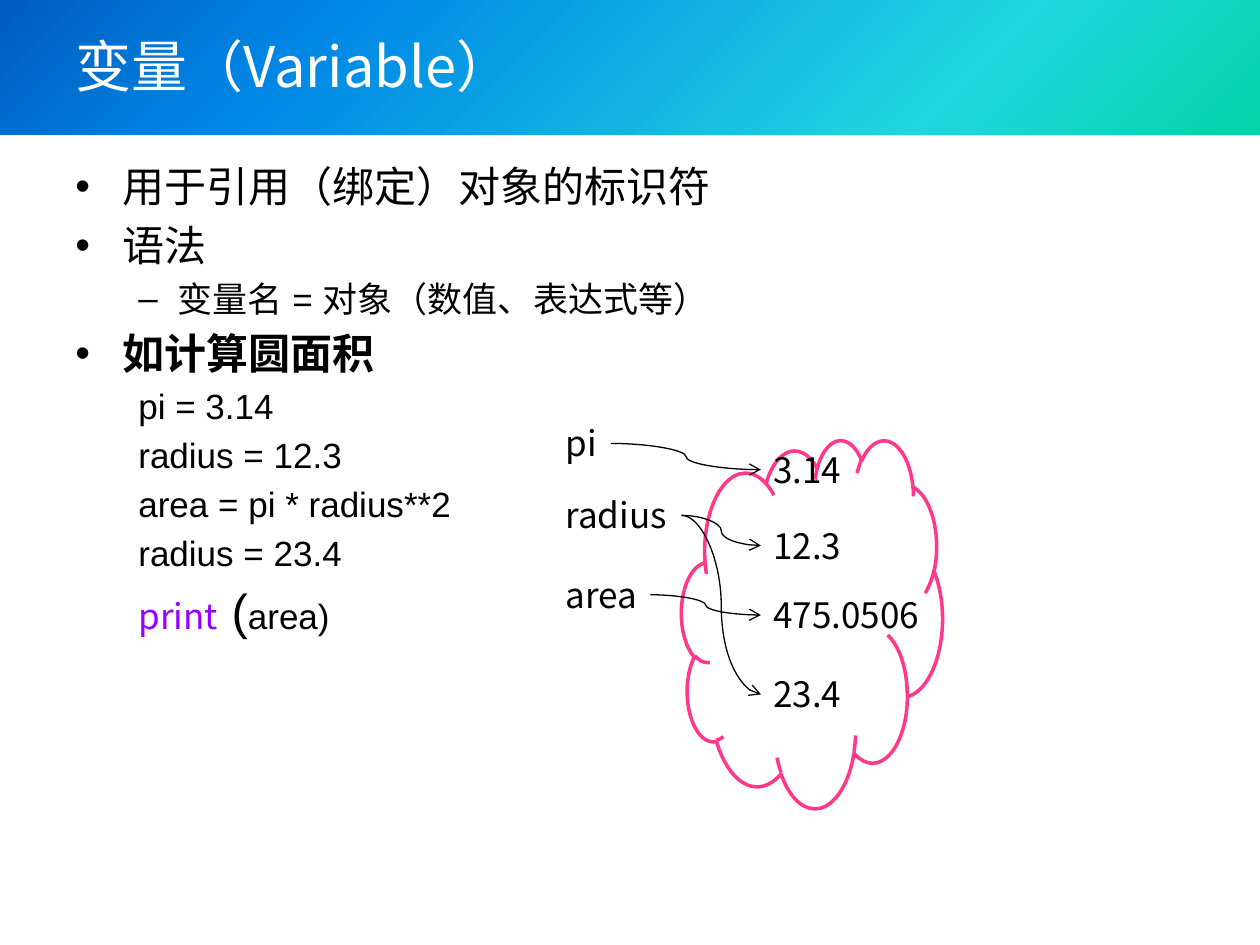
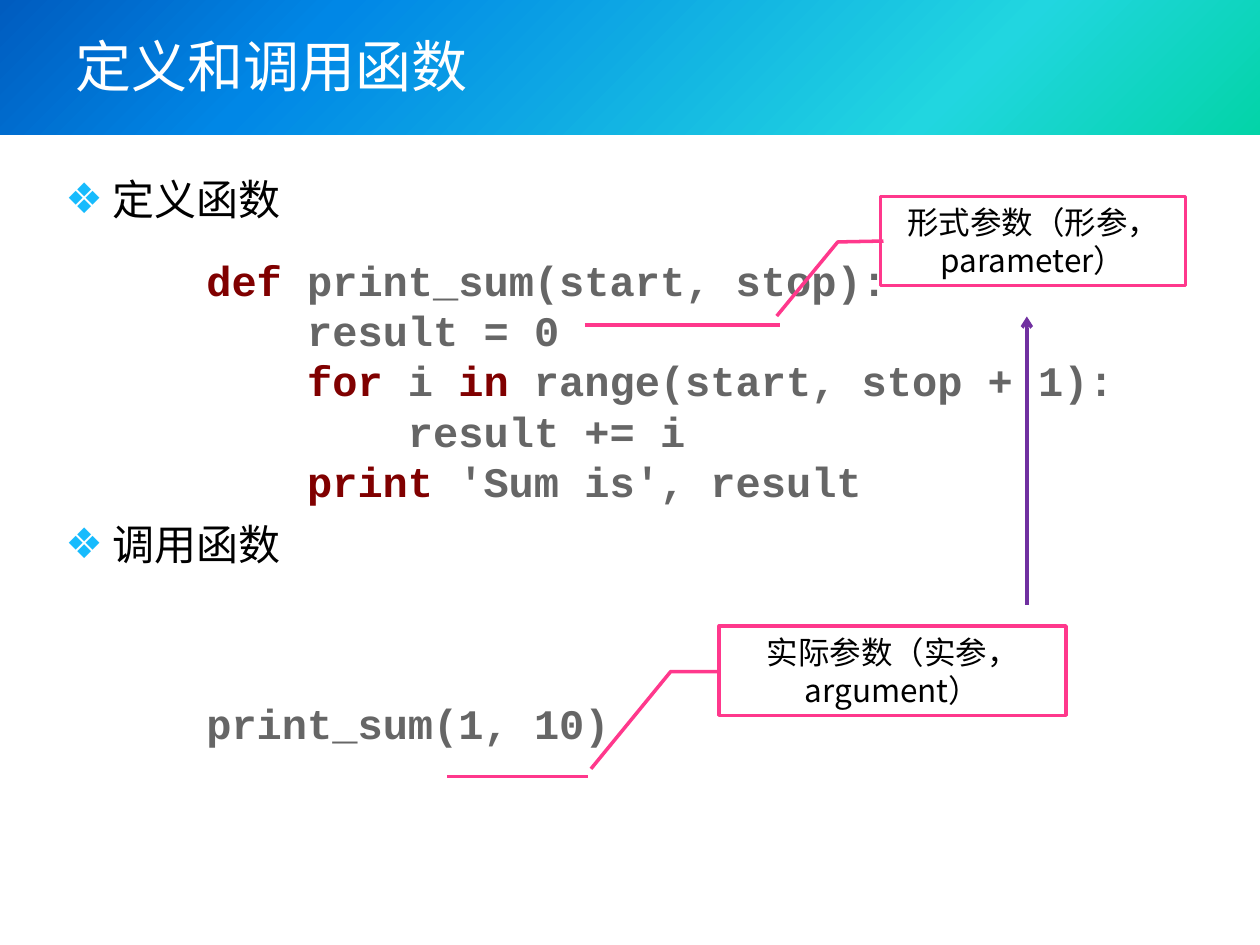
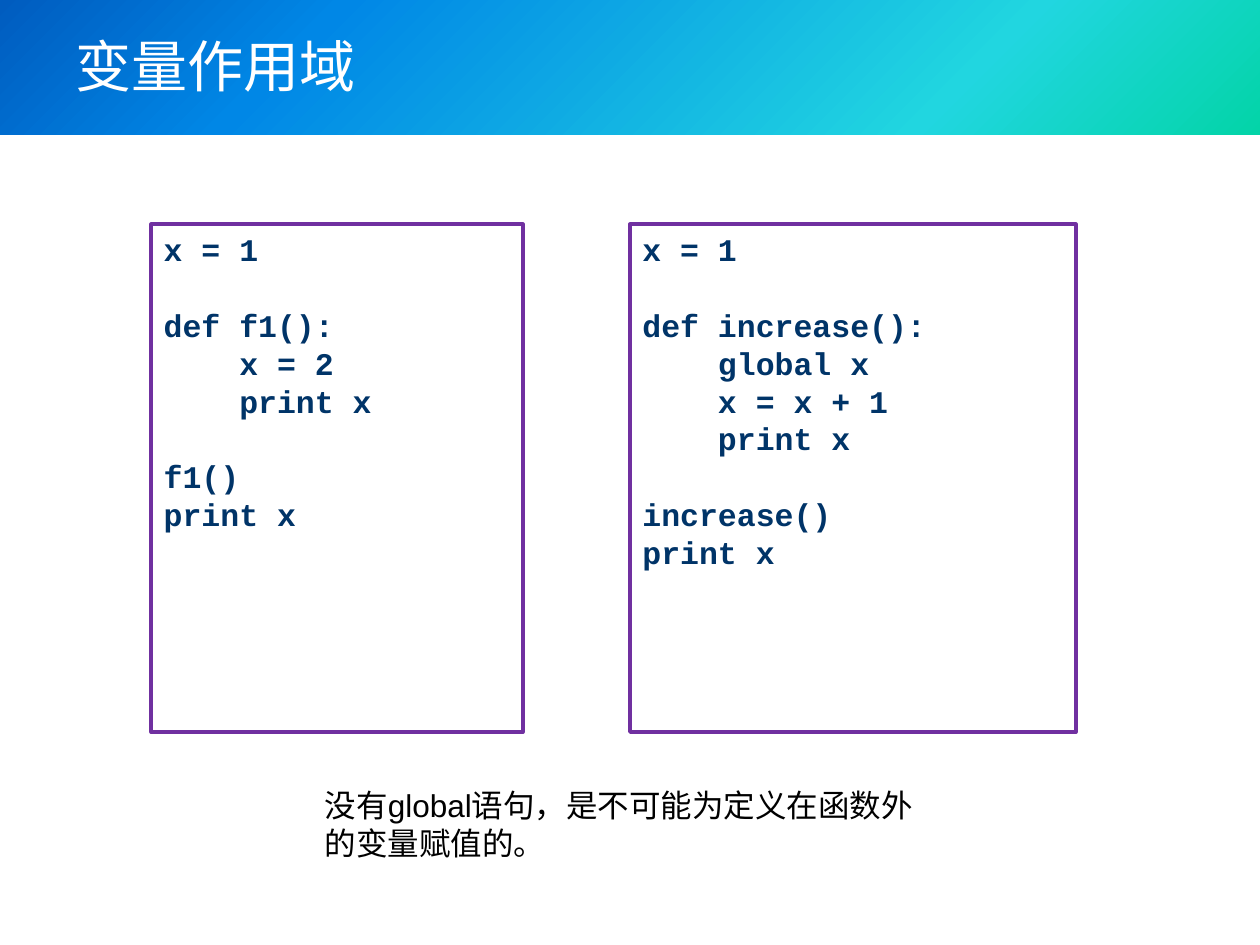
import collections

import pptx
import pptx.dml.color
import pptx.enum.shapes
import pptx.enum.text
import pptx.oxml
import pptx.oxml.ns
import pptx.util
from lxml import etree

Cm = pptx.util.Cm
Pt = pptx.util.Pt
qn = pptx.oxml.ns.qn
SHAPE = pptx.enum.shapes.MSO_SHAPE
CONNECTOR = pptx.enum.shapes.MSO_CONNECTOR
ALIGN = pptx.enum.text.PP_ALIGN
ANCHOR = pptx.enum.text.MSO_ANCHOR
AUTO_SIZE = pptx.enum.text.MSO_AUTO_SIZE

# All box values are centimetres
Box = collections.namedtuple("Box", "left top width height")

BLACK, WHITE = "000000", "FFFFFF"
PINK, PURPLE, CYAN = "FF388C", "7030A0", "17BBFD"
NAVY, GREY, MAROON, VIOLET = "003468", "666666", "800000", "9700FF"
BAND_STOPS = [(0, "03D4A8"), (25, "21D6E0"), (75, "0087E6"), (100, "005CBF")]
SANS, LATIN, MONO = "Noto Sans CJK SC", "Arial", "Courier New"
PAGE = Box(0, 0, 25.4, 19.05)
BAND = Box(0, 0, PAGE.width, 2.72)
LINE_HEIGHT = 1.2  # of the font size


# ---- Shared helpers ----
def rgb(value):
    return pptx.dml.color.RGBColor.from_string(value)


def lengths(box):
    return [Cm(value) for value in box]


def set_font(font, size=None, name=None, color=None, bold=None):
    if size is not None:
        font.size = Pt(size)
    if color is not None:
        font.color.rgb = rgb(color)
    if bold is not None:
        font.bold = bold
    if name is not None:
        font.name = name
        etree.SubElement(font._element, qn("a:ea")).set("typeface", name)


def fill_para(para, spans, **style):
    """Write spans, each a string or a (string, font changes) pair."""
    set_font(para.font, **style)
    for item in [spans] if isinstance(spans, str) else spans:
        text, changes = (item, {}) if isinstance(item, str) else item
        span = para.add_run()
        span.text = text
        set_font(span.font, **changes)


def set_bullet(para, left, hanging=0, mark=None, color=None):
    props = para._p.get_or_add_pPr()
    props.set("marL", str(Cm(left)))
    props.set("indent", str(-Cm(hanging)))
    if mark is None:
        etree.SubElement(props, qn("a:buNone"))
        return
    if color is not None:
        holder = etree.SubElement(props, qn("a:buClr"))
        etree.SubElement(holder, qn("a:srgbClr")).set("val", color)
    etree.SubElement(props, qn("a:buFont")).set("typeface", LATIN)
    etree.SubElement(props, qn("a:buChar")).set("char", mark)


def each_para(frame, items):
    """Pair each item with its paragraph, starting from the first one."""
    for index, item in enumerate(items):
        yield (frame.add_paragraph() if index else frame.paragraphs[0]), item


def add_text(page, box, spans=(), wrap=True, **style):
    shape = page.shapes.add_textbox(*lengths(box))
    frame = shape.text_frame
    frame.word_wrap = wrap
    if not wrap:
        frame.auto_size = AUTO_SIZE.SHAPE_TO_FIT_TEXT
    if spans:
        fill_para(frame.paragraphs[0], spans, **style)
    return shape


def add_outline(page, kind, box, color):
    shape = page.shapes.add_shape(kind, *lengths(box))
    shape.shadow.inherit = False
    shape.fill.background()
    shape.line.color.rgb = rgb(color)
    shape.line.width = Pt(2)
    return shape


def add_line(page, kind, start, end, color, width, arrow=False):
    line = page.shapes.add_connector(kind, *lengths(start + end))
    line.line.color.rgb = rgb(color)
    line.line.width = Pt(width)
    if arrow:
        tail = etree.SubElement(line.line._get_or_add_ln(), qn("a:tailEnd"))
        tail.set("type", "arrow")
    etree.SubElement(line._element.spPr, qn("a:effectLst"))
    return line


def add_header(page, box, title):
    # Band with a gradient that spreads from its lower right corner
    band = page.shapes.add_shape(SHAPE.RECTANGLE, *lengths(box))
    band.shadow.inherit = False
    band.line.fill.background()
    stops = "".join(
        f'<a:gs pos="{place * 1000}"><a:srgbClr val="{color}"/></a:gs>'
        for place, color in BAND_STOPS)
    gradient = pptx.oxml.parse_xml(
        f'<a:gradFill {pptx.oxml.ns.nsdecls("a")} rotWithShape="1">'
        f'<a:gsLst>{stops}</a:gsLst><a:path path="circle">'
        '<a:fillToRect l="100000" t="100000"/></a:path></a:gradFill>')
    band._element.spPr.find(qn("a:prstGeom")).addnext(gradient)
    # Title
    place = Box(box.left + 1.27, box.top + 0.33, box.width - 2.54, 1.96)
    heading = add_text(page, place, title, size=32, name=SANS, color=WHITE)
    heading.text_frame.vertical_anchor = ANCHOR.MIDDLE


def new_page(deck, title):
    page = deck.slides.add_slide(deck.slide_layouts[6])
    add_header(page, BAND, title)
    return page


# ---- Variables ----
def add_outline_list(page, box):
    first = dict(left=0.95, hanging=0.95, mark="•")
    second = dict(left=2.06, hanging=0.79, mark="–")
    code = dict(left=1.27)
    items = [
        ("用于引用（绑定）对象的标识符", first, 24, False),
        ("语法", first, 24, False),
        ("变量名 = 对象（数值、表达式等）", second, 20, False),
        ("如计算圆面积", first, 24, True),
        ("pi = 3.14", code, 20, False),
        ("radius = 12.3", code, 20, False),
        ("area = pi * radius**2", code, 20, False),
        ("radius = 23.4", code, 20, False),
        ([("print", dict(name=SANS, color=VIOLET)), (" (", dict(size=28)),
          "area)"], code, 20, False),
    ]
    frame = add_text(page, box).text_frame
    for para, (spans, bullet, size, bold) in each_para(frame, items):
        set_bullet(para, **bullet)
        if para._p is not frame.paragraphs[0]._p:
            para.space_before = Pt(0.2 * size)
        fill_para(para, spans, size=size, name=LATIN, color=BLACK, bold=bold)


def add_binding_diagram(page, box):
    cloud = Box(box.left + 2.59, box.top + 0.48, 5.26, 7.42)
    add_outline(page, SHAPE.CLOUD, cloud, PINK)

    def add_column(offset, entries):
        return {
            text: add_text(
                page, Box(box.left + offset, box.top + top, width, 1.12),
                text, wrap=False, size=20, name=SANS, color=BLACK)
            for text, top, width in entries}

    values = add_column(4.19, [("3.14", 0.53, 1.93), ("12.3", 2.06, 1.93),
                               ("475.0506", 3.46, 3.61), ("23.4", 5.06, 1.93)])
    names = add_column(0, [("pi", 0, 1.17), ("radius", 1.45, 2.59),
                           ("area", 3.05, 1.96)])
    # Arrows from each name to the objects it is bound to
    for name, value in [("pi", "3.14"), ("radius", "12.3"),
                        ("area", "475.0506"), ("radius", "23.4")]:
        arrow = add_line(page, CONNECTOR.CURVE, (0, 0), (1, 1), BLACK, 0.75, True)
        arrow.begin_connect(names[name], 3)
        arrow.end_connect(values[value], 1)


# ---- Functions ----
def add_topics(page, box, topics, gap):
    frame = add_text(page, box).text_frame
    for para, topic in each_para(frame, topics):
        set_bullet(para, 0.95, 0.95, "❖", CYAN)
        para.line_spacing = 1.2
        if topic != topics[0]:
            para.space_before = Pt(gap)
        fill_para(para, topic, size=24, name=SANS, color=BLACK)


def add_code(page, box, lines):
    frame = add_text(page, box).text_frame
    for para, spans in each_para(frame, lines):
        fill_para(para, spans, size=24, name=MONO, color=GREY, bold=True)


def add_callout(page, box, text, adjustments, underline):
    """underline gives start, end and height relative to the box."""
    callout = add_outline(page, SHAPE.LINE_CALLOUT_2, box, PINK)
    for index, value in enumerate(adjustments):
        callout.adjustments[index] = value
    frame = callout.text_frame
    frame.word_wrap = True
    frame.vertical_anchor = ANCHOR.MIDDLE
    para = frame.paragraphs[0]
    para.alignment = ALIGN.CENTER
    fill_para(para, text, size=18, name=SANS, color=BLACK)
    start, end, drop = underline
    add_line(page, CONNECTOR.STRAIGHT, (box.left + start, box.top + drop),
             (box.left + end, box.top + drop), PINK, 2)


# ---- Scope ----
def add_code_panel(page, box, blocks):
    """Blocks of code lines, set one line apart."""
    frame = add_outline(page, SHAPE.RECTANGLE, box, PURPLE).text_frame
    frame.word_wrap = True
    frame.vertical_anchor = ANCHOR.TOP
    lines = [(line, block > 0 and row == 0)
             for block, rows in enumerate(blocks)
             for row, line in enumerate(rows)]
    for para, (line, opens_block) in each_para(frame, lines):
        para.alignment = ALIGN.LEFT
        if opens_block:
            para.space_before = Pt(18 * LINE_HEIGHT)
        fill_para(para, line, size=18, name=MONO, color=NAVY, bold=True)


# ---- Slides ----
def variable_slide(deck):
    page = new_page(deck, "变量（Variable）")
    add_outline_list(page, Box(1.27, 3.12, 22.86, 13.89))
    add_binding_diagram(page, Box(11.15, 8.38, 7.85, 7.9))


def function_slide(deck):
    page = new_page(deck, "定义和调用函数")
    keyword = dict(color=MAROON)
    add_topics(page, Box(1.07, 3.18, 20.75, 13.77), ["定义函数", "调用函数"], 162.5)
    add_code(page, Box(3.91, 5, 19.99, 5.38), [
        [("def ", keyword), "print_sum(start, stop):"],
        "    result = 0",
        ["    ", ("for ", keyword), "i ", ("in", keyword),
         " range(start, stop + 1):"],
        "        result += i",
        ["    ", ("print", keyword), " 'Sum is', result"],
    ])
    add_code(page, Box(3.91, 13.94, 19.3, 1.27), ["print_sum(1, 10)"])
    add_callout(page, Box(17.75, 3.96, 6.15, 1.8), "形式参数（形参，parameter）",
                (0.5, 0.01, 0.51, -0.14, 1.34, -0.34), (-5.96, -2.03, 2.59))
    add_callout(page, Box(14.5, 12.62, 6.99, 1.8), "实际参数（实参，argument）",
                (0.51, 0, 0.51, -0.14, 1.6, -0.37), (-5.48, -2.64, 3.03))
    # Arrow from argument to parameter
    add_line(page, CONNECTOR.STRAIGHT, (20.7, 12.19), (20.7, 6.38), PURPLE, 2, True)


def scope_slide(deck):
    page = new_page(deck, "变量作用域")
    add_code_panel(page, Box(3.05, 4.52, 7.49, 10.24), [
        ["x = 1"],
        ["def f1():", "    x = 2", "    print x"],
        ["f1()", "print x"],
    ])
    add_code_panel(page, Box(12.7, 4.52, 8.99, 10.24), [
        ["x = 1"],
        ["def increase():", "    global x", "    x = x + 1", "    print x"],
        ["increase()", "print x"],
    ])
    add_text(page, Box(6.3, 15.72, 12.7, 1.8),
             "没有global语句，是不可能为定义在函数外的变量赋值的。",
             size=18, name=LATIN, color=BLACK)


def main():
    deck = pptx.Presentation()
    deck.slide_width, deck.slide_height = Cm(PAGE.width), Cm(PAGE.height)
    variable_slide(deck)
    function_slide(deck)
    scope_slide(deck)
    deck.save("out.pptx")


if __name__ == "__main__":
    main()
